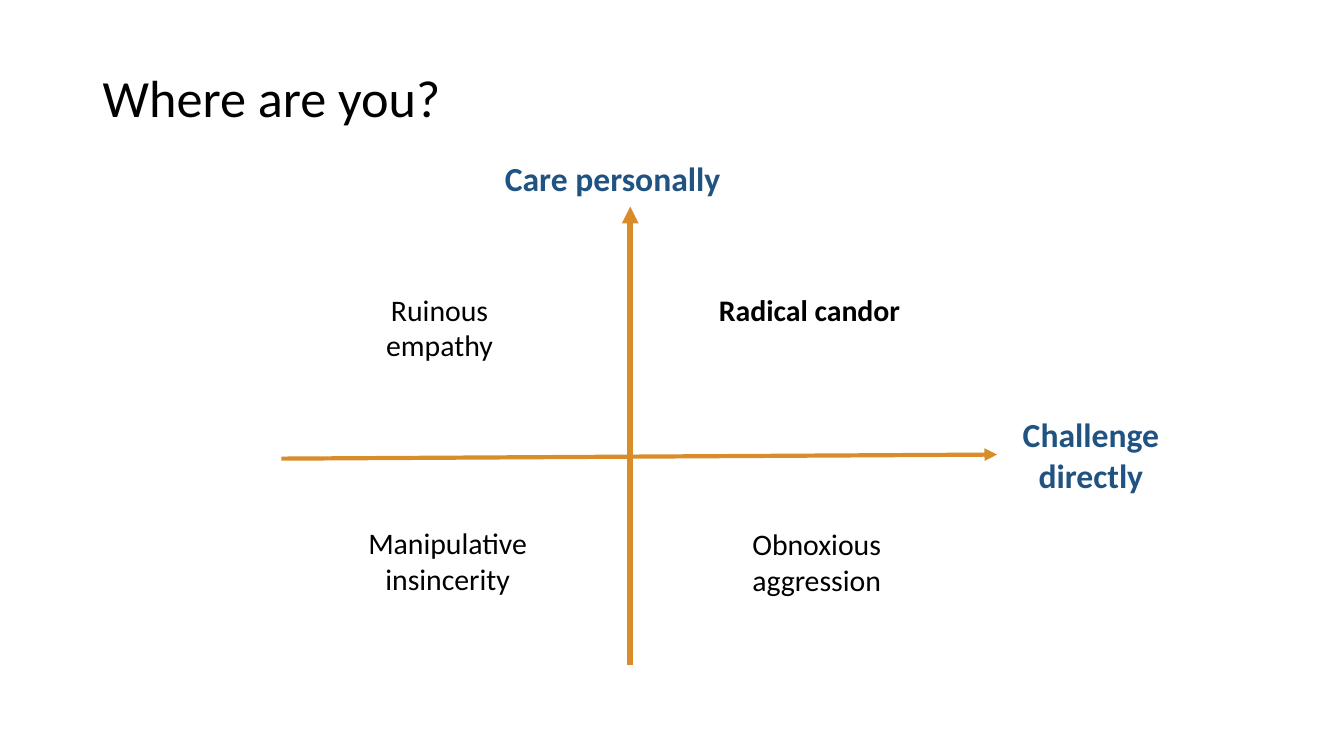
import pptx
import pptx.util
import pptx.dml.color
import pptx.enum.shapes
import pptx.enum.text
import pptx.oxml.ns
import lxml.etree

RGBColor = pptx.dml.color.RGBColor
Align = pptx.enum.text.PP_ALIGN
Anchor = pptx.enum.text.MSO_ANCHOR
BLACK = RGBColor(0x00, 0x00, 0x00)
BLUE = RGBColor(0x20, 0x53, 0x82)
ORANGE = RGBColor(0xD8, 0x8C, 0x2A)

SLIDE_WIDTH, SLIDE_HEIGHT = 13.33, 7.5
COLUMNS = ROWS = 100

TITLE = ("Where are you?", (6.9, 7.73, 86.27, 11.07))
AXES = [
    ((46.89, 27.33), (46.89, 88), 4),
    ((74.19, 60.13), (20.93, 60.67), 3),
]
AXIS_LABELS = [
    ("Care personally", (36.83, 20.27, 21.46, 6.67), Align.LEFT),
    ("Challenge directly", (73.67, 54.13, 15, 12.13), Align.CENTER),
]
QUADRANTS = [
    ("Radical candor", (52.51, 37.87, 15.45, 6.13), True),
    ("Obnoxious aggression", (53.04, 68.93, 15.45, 10.93), False),
    ("Manipulative insincerity", (24.08, 68.8, 18.45, 10.93), False),
    ("Ruinous empathy", (24.98, 37.87, 15.45, 10.93), False),
]


def across(columns):
    return pptx.util.Inches(SLIDE_WIDTH * columns / COLUMNS)


def down(rows):
    return pptx.util.Inches(SLIDE_HEIGHT * rows / ROWS)


def add_text(slide, text, place, size=21.3, color=BLACK, bold=False,
             align=Align.CENTER, anchor=Anchor.TOP, spacing=1.0):
    left, top, width, height = place
    box = slide.shapes.add_textbox(across(left), down(top), across(width), down(height))
    frame = box.text_frame
    frame.word_wrap = True
    frame.vertical_anchor = anchor
    paragraph = frame.paragraphs[0]
    paragraph.alignment = align
    paragraph.line_spacing = spacing
    run = paragraph.add_run()
    run.text = text
    run.font.name = "Calibri"
    run.font.size = pptx.util.Pt(size)
    run.font.bold = bold
    run.font.color.rgb = color


def add_axis(slide, tip, tail, weight):
    axis = slide.shapes.add_connector(
        pptx.enum.shapes.MSO_CONNECTOR.STRAIGHT,
        across(tip[0]), down(tip[1]), across(tail[0]), down(tail[1]))
    axis.line.color.rgb = ORANGE
    axis.line.width = pptx.util.Pt(weight)
    qn = pptx.oxml.ns.qn
    lxml.etree.SubElement(axis.line._get_or_add_ln(), qn("a:headEnd"), type="triangle")
    lxml.etree.SubElement(axis._element.spPr, qn("a:effectLst"))


def main():
    deck = pptx.Presentation()
    deck.slide_width = across(COLUMNS)
    deck.slide_height = down(ROWS)
    slide = deck.slides.add_slide(deck.slide_layouts[6])

    add_text(slide, *TITLE, size=37.3, align=Align.LEFT, anchor=Anchor.MIDDLE, spacing=0.9)
    for tip, tail, weight in AXES:
        add_axis(slide, tip, tail, weight)
    for label, place, align in AXIS_LABELS:
        add_text(slide, label, place, size=24, color=BLUE, bold=True, align=align)
    for quadrant, place, bold in QUADRANTS:
        add_text(slide, quadrant, place, bold=bold)

    deck.save("out.pptx")


if __name__ == "__main__":
    main()
